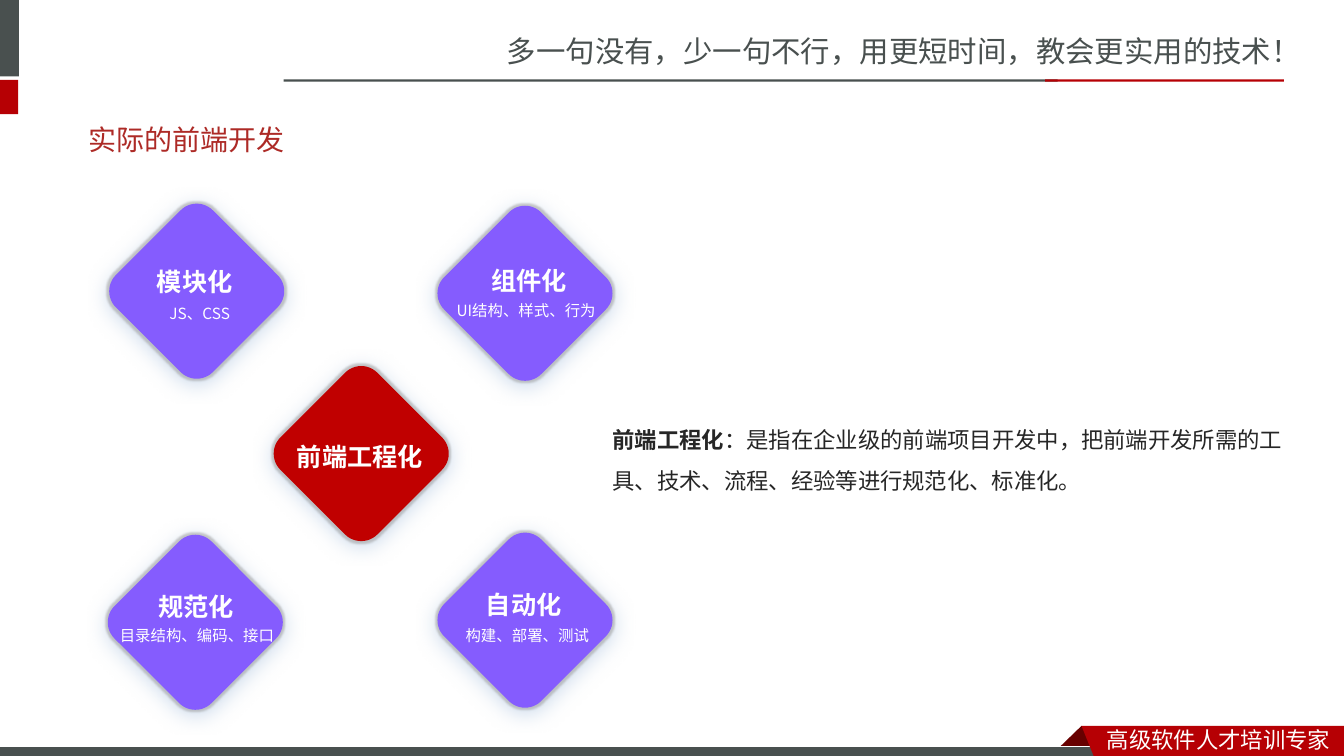
"""Build the slide on front-end engineering."""
import dataclasses

import lxml.etree
import pptx
import pptx.dml.color
import pptx.enum.shapes
import pptx.enum.text
import pptx.oxml
import pptx.oxml.ns
import pptx.util

Pt = pptx.util.Pt
Kind = pptx.enum.shapes.MSO_SHAPE
Anchor = pptx.enum.text.MSO_ANCHOR
qn = pptx.oxml.ns.qn


@dataclasses.dataclass(frozen=True)
class Theme:
    """Colours, fonts and type sizes."""
    slate: str = "49504F"
    red: str = "B60004"
    dark: str = "680000"
    white: str = "FFFFFF"
    violet: str = "855CFE"
    core: str = "C00000"
    title: str = "AD2A26"
    ink: str = "262626"
    glow: str = "A6A6A6"
    shade: str = "95B3D7"
    sans: str = "Noto Sans CJK SC"
    body: str = "Noto Sans CJK JP"
    latin: str = "Lato"
    slogan: int = 21
    head: int = 20
    label: int = 18
    text: int = 16
    small: int = 11


THEME = Theme()
SIDE = 98

NODES = [
    (91.5, 159, THEME.violet, ("模块化", 105, 187, 70), ("JS、CSS", 114, 214, 61)),
    (326, 160.5, THEME.violet, ("组件化", 344, 186, 68.5),
     ("UI结构、样式、行为", 319, 211.5, 118)),
    (209, 275, THEME.core, ("前端工程化", 205, 312, 106), None),
    (90.5, 395.5, THEME.violet, ("规范化", 106, 418.5, 68.5),
     ("目录结构、编码、接口", 78.5, 443.5, 128)),
    (326, 394, THEME.violet, ("自动化", 340, 417.5, 70.5),
     ("构建、部署、测试", 325.5, 443.5, 105)),
]


def rgb(code):
    """Return a colour from its hex code."""
    return pptx.dml.color.RGBColor.from_string(code)


def paint(shape, fill, line=None):
    """Give a shape a flat fill and an optional thin outline."""
    shape.shadow.inherit = False
    shape.fill.solid()
    shape.fill.fore_color.rgb = rgb(fill)
    if line:
        shape.line.color.rgb = rgb(line)
        shape.line.width = Pt(0.75)
    else:
        shape.line.fill.background()


def block(slide, x, y, w, h, fill, line=None, kind=Kind.RECTANGLE):
    """Add a filled preset shape."""
    shape = slide.shapes.add_shape(kind, Pt(x), Pt(y), Pt(w), Pt(h))
    paint(shape, fill, line)
    return shape


def outline(slide, points, fill):
    """Add a filled polygon."""
    spots = [(Pt(x), Pt(y)) for x, y in points]
    form = slide.shapes.build_freeform(*spots[0])
    form.add_line_segments(spots[1:], close=True)
    paint(form.convert_to_shape(), fill)


def halo(shape):
    """Add a grey glow and a soft blue shadow."""
    effects = shape.element.spPr.find(qn("a:effectLst"))
    glow = lxml.etree.SubElement(effects, qn("a:glow"), rad=str(Pt(3)))
    shade = lxml.etree.SubElement(
        effects, qn("a:outerShdw"), blurRad=str(Pt(16)), dist=str(Pt(3)),
        dir="5400000", algn="t", rotWithShape="0")
    for effect, code, alpha in ((glow, THEME.glow, 60), (shade, THEME.shade, 52)):
        color = lxml.etree.SubElement(effect, qn("a:srgbClr"), val=code)
        lxml.etree.SubElement(color, qn("a:alpha"), val=str(alpha * 1000))


def write(slide, runs, x, y, w, h, size, color, face=THEME.body, bold=None, wrap=False):
    """Add a one-paragraph text box and return its text frame."""
    frame = slide.shapes.add_textbox(Pt(x), Pt(y), Pt(w), Pt(h)).text_frame
    frame.word_wrap = wrap
    para = frame.paragraphs[0]
    for text in runs:
        para.add_run().text = text
    font = para.font
    font.size, font.bold, font.name = Pt(size), bold, face
    font.color.rgb = rgb(color)
    latin = para._p.pPr.find(qn("a:defRPr")).find(qn("a:latin"))
    latin.addnext(latin.makeelement(qn("a:ea"), {"typeface": face}))
    return frame


def node(slide, x, y, fill, label, sub):
    """Add a diamond with its label and optional detail."""
    gem = block(slide, x, y, SIDE, SIDE, fill, kind=Kind.ROUNDED_RECTANGLE)
    gem.rotation = 45
    halo(gem)
    text, *place = label
    write(slide, [text], *place, 29, THEME.label, THEME.white, bold=True)
    if sub:
        text, *place = sub
        write(slide, [text], *place, 21, THEME.small, THEME.white, wrap=True)


def frame(slide):
    """Add the header and footer bands."""
    write(slide, ["多一句没有，少一句不行，用更短时间，教会更实用的技术！"],
          355, 20, 605.5, 34, THEME.slogan, THEME.slate, THEME.sans)
    block(slide, -4.5, 0, 18, 54.5, THEME.slate)
    block(slide, -4.5, 57, 17.5, 24.5, THEME.red)
    block(slide, 202.5, 56.75, 553, 1.5, THEME.slate)
    block(slide, 746.5, 56.75, 170.5, 1.5, THEME.red)
    outline(slide, [(772.5, 518.5), (788.5, 534), (787.5, 535), (757.5, 535),
                    (756.5, 534)], THEME.dark)
    block(slide, -1, 533.5, 792, 8.5, THEME.slate, THEME.white)
    outline(slide, [(772.5, 518.5), (960, 518.5), (960, 543), (782, 542)], THEME.red)
    write(slide, ["高级软件人才培训专家"], 783.5, 515, 176.5, 26.5,
          THEME.text, THEME.white, THEME.sans)


def main():
    """Build and save the slide."""
    deck = pptx.Presentation()
    deck.slide_width, deck.slide_height = Pt(960), Pt(540)
    slide = deck.slides.add_slide(deck.slide_layouts[6])
    frame(slide)
    for item in NODES:
        node(slide, *item)
    title = write(slide, ["实际的前端开发"], 56, 79, 842.5, 41,
                  THEME.head, THEME.title, THEME.latin, wrap=True)
    title.vertical_anchor = Anchor.MIDDLE
    note = write(slide, ["前端工程化", "：是指在企业级的前端项目开发中，把前端开发所需的工具、"
                         "技术、流程、经验等进行规范化、标准化。"],
                 430.5, 291.5, 504, 67.5, THEME.text, THEME.ink, wrap=True)
    note.paragraphs[0].line_spacing = 1.5
    note.paragraphs[0].runs[0].font.bold = True
    deck.save("out.pptx")


if __name__ == "__main__":
    main()
